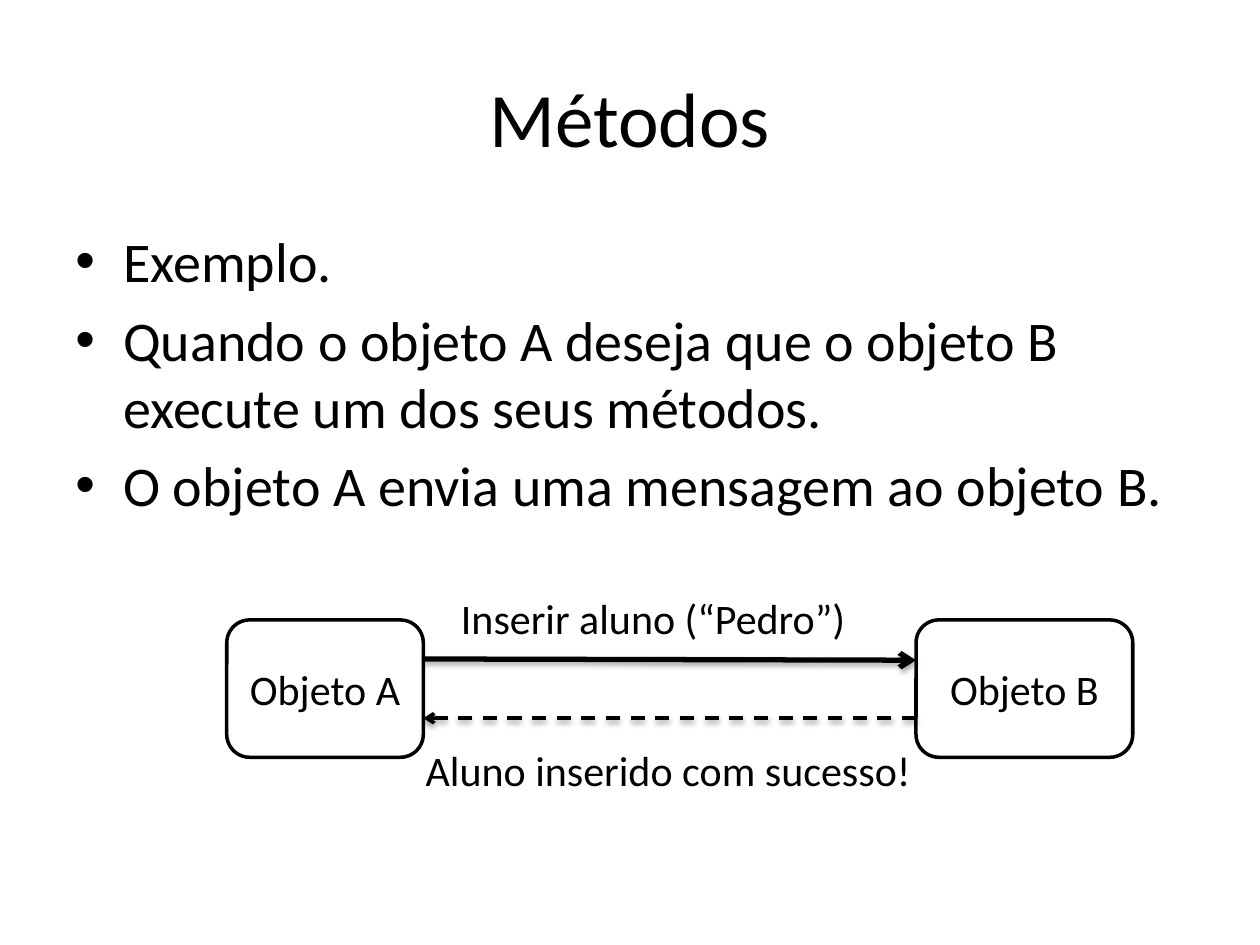
from lxml import etree
from pptx import Presentation
from pptx.dml.color import RGBColor
from pptx.enum.dml import MSO_LINE
from pptx.enum.shapes import MSO_CONNECTOR, MSO_SHAPE
from pptx.enum.text import MSO_ANCHOR, PP_ALIGN
from pptx.oxml import parse_xml
from pptx.oxml.ns import nsdecls, qn
from pptx.util import Inches, Pt

BLACK, WHITE = "000000", "FFFFFF"


def paint(color_format, color):
    """Set a fill, line or font colour from a hex string."""
    color_format.rgb = RGBColor.from_string(color)


def add_run(p, text, size):
    """Append a black Calibri run to a paragraph."""
    r = p.add_run()
    r.text = text
    r.font.name, r.font.size = "Calibri", Pt(size)
    paint(r.font.color, BLACK)


def add_text(slide, box, text, size, wrap=True, anchor=MSO_ANCHOR.TOP, align=PP_ALIGN.LEFT):
    """Place a one-paragraph text box."""
    tf = slide.shapes.add_textbox(*map(Inches, box)).text_frame
    tf.word_wrap, tf.vertical_anchor = wrap, anchor
    p = tf.paragraphs[0]
    p.alignment = align
    add_run(p, text, size)


def add_bullets(slide, box, items, size=32):
    """Place a bulleted list with hanging indents."""
    tf = slide.shapes.add_textbox(*map(Inches, box)).text_frame
    tf.word_wrap = True
    for i, text in enumerate(items):
        p = tf.add_paragraph() if i else tf.paragraphs[0]
        p.space_before = Pt(size * 0.2)
        pPr = p._p.get_or_add_pPr()
        pPr.set("marL", str(Inches(0.38)))
        pPr.set("indent", str(-Inches(0.38)))
        etree.SubElement(pPr, qn("a:buFont")).set("typeface", "Arial")
        etree.SubElement(pPr, qn("a:buChar")).set("char", "•")
        add_run(p, text, size)


def add_object(slide, box, name):
    """Draw a rounded box holding an object's name."""
    sp = slide.shapes.add_shape(MSO_SHAPE.ROUNDED_RECTANGLE, *map(Inches, box))
    sp.shadow.inherit = False
    sp.fill.solid()
    paint(sp.fill.fore_color, WHITE)
    paint(sp.line.color, BLACK)
    sp.line.width = Pt(2)
    tf = sp.text_frame
    tf.word_wrap, tf.vertical_anchor = True, MSO_ANCHOR.MIDDLE
    p = tf.paragraphs[0]
    p.alignment = PP_ALIGN.CENTER
    add_run(p, name, 24)


def add_message(slide, start, end, width, alpha, distance, dash=None):
    """Draw a shadowed arrow between two points."""
    cxn = slide.shapes.add_connector(MSO_CONNECTOR.STRAIGHT, *map(Inches, start + end))
    paint(cxn.line.color, BLACK)
    cxn.line.width = Pt(width)
    if dash:
        cxn.line.dash_style = dash
    etree.SubElement(cxn.line._get_or_add_ln(), qn("a:tailEnd")).set("type", "arrow")
    cxn._element.spPr.append(parse_xml(
        f'<a:effectLst {nsdecls("a")}><a:outerShdw blurRad="{Pt(3.1)}" dist="{Pt(distance)}" '
        f'dir="5400000" rotWithShape="0"><a:srgbClr val="{BLACK}"><a:alpha val="{alpha * 1000}"/>'
        '</a:srgbClr></a:outerShdw></a:effectLst>'))


def add_exchange(slide, box):
    """Draw two objects with a request and a reply between them."""
    x, y, w, h = box
    left, right = x + 1.56, x + w - 1.72
    add_object(slide, (x, y, 1.56, h), "Objeto A")
    add_object(slide, (right, y, 1.72, h), "Objeto B")
    add_message(slide, (left, y + 0.31), (right, y + 0.32), 3, 35, 1.8)
    add_text(slide, (left + 0.2, y - 0.27, 3.39, 0.5), "Inserir aluno (“Pedro”)", 24, wrap=False)
    add_message(slide, (right, y + 0.78), (left, y + 0.78), 2, 38, 1.6, MSO_LINE.DASH)
    add_text(slide, (left - 0.08, y + 0.94, 4.09, 0.5), "Aluno inserido com sucesso!", 24, wrap=False)


prs = Presentation()
prs.slide_width, prs.slide_height = Inches(10), Inches(7.5)
slide = prs.slides.add_slide(prs.slide_layouts[6])
add_text(slide, (0.5, 0.3, 9, 1.25), "Métodos", 44, anchor=MSO_ANCHOR.MIDDLE, align=PP_ALIGN.CENTER)
add_bullets(slide, (0.5, 1.75, 9, 4.95), [
    "Exemplo.",
    "Quando o objeto A deseja que o objeto B execute um dos seus métodos.",
    "O objeto A envia uma mensagem ao objeto B.",
])
add_exchange(slide, (1.8, 4.92, 7.19, 1.09))
prs.save("out.pptx")
